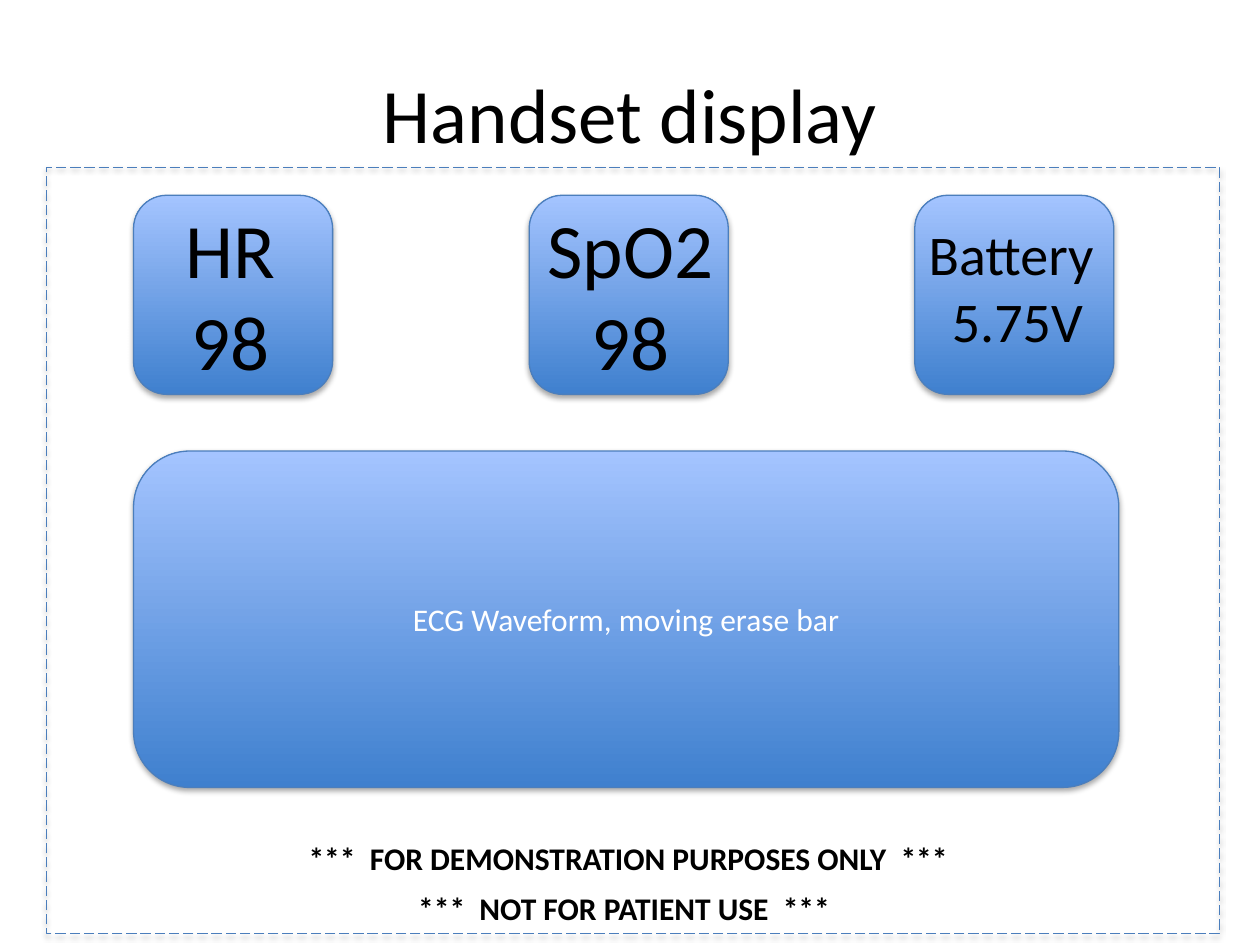
import pptx
import pptx.util
import pptx.oxml
import pptx.dml.color
import pptx.enum.dml
import pptx.enum.shapes
import pptx.enum.text

Pt = pptx.util.Pt
RGB = pptx.dml.color.RGBColor.from_string
SHAPE = pptx.enum.shapes.MSO_SHAPE
ALIGN = pptx.enum.text.PP_ALIGN
ANCHOR = pptx.enum.text.MSO_ANCHOR
INK = {"text": "000000", "light": "FFFFFF", "edge": "4B7EBC",
       "low": "3F80CE", "high": "A4C4FF"}
SHADE = (
    '<a:outerShdw xmlns:a="http://schemas.openxmlformats.org/drawingml/2006/main"'
    ' blurRad="40000" dist="23000" dir="5400000" rotWithShape="0">'
    '<a:srgbClr val="000000"><a:alpha val="35000"/></a:srgbClr></a:outerShdw>')

deck = pptx.Presentation()
deck.slide_width = pptx.util.Inches(10)
deck.slide_height = pptx.util.Inches(7.5)
slide = deck.slides.add_slide(deck.slide_layouts[5])
shapes = slide.shapes

# The slide is a grid of 100 columns and 75 rows.
col = deck.slide_width / 100
row = deck.slide_height / 75


def panel(kind, x, y, w, h):
    """Add an outlined shape with a soft shadow; rounded ones get a gradient."""
    form = shapes.add_shape(kind, int(x * col), int(y * row),
                            int(w * col), int(h * row))
    if kind == SHAPE.ROUNDED_RECTANGLE:
        form.fill.gradient()
        form.fill.gradient_angle = 90
        for stop, tone, place in zip(form.fill.gradient_stops, ("low", "high"), (0, 1)):
            stop.color.rgb = RGB(INK[tone])
            stop.position = place
    else:
        form.fill.background()
    form.line.color.rgb = RGB(INK["edge"])
    form.line.width = Pt(0.75)
    form.shadow.inherit = False
    effects = form._element.spPr.find(pptx.oxml.ns.qn("a:effectLst"))
    effects.append(pptx.oxml.parse_xml(SHADE))
    return form


def write(frame, lines, size, tone="text", bold=False, align=ALIGN.CENTER):
    """Write each line as a paragraph of one styled run."""
    for i, line in enumerate(lines):
        para = frame.add_paragraph() if i else frame.paragraphs[0]
        para.alignment = align
        run = para.add_run()
        run.text = line
        run.font.name = "Calibri"
        run.font.size = Pt(size)
        run.font.bold = bold
        run.font.color.rgb = RGB(INK[tone])


title = shapes.title
title.left, title.top = int(5 * col), int(2.7 * row)
title.width, title.height = int(90 * col), int(12.5 * row)
title.text_frame.vertical_anchor = ANCHOR.MIDDLE
write(title.text_frame, ["Handset display"], 44)

wave = panel(SHAPE.ROUNDED_RECTANGLE, 10.6, 35.8, 78.2, 26.7)
wave.text_frame.vertical_anchor = ANCHOR.MIDDLE
write(wave.text_frame, ["ECG Waveform, moving erase bar"], 18, "light")

panel(SHAPE.RECTANGLE, 3.7, 13.3, 93.1, 60.8).line.dash_style = (
    pptx.enum.dml.MSO_LINE.LONG_DASH)

# Tile column, text column, text row, text width, text height, lines, size
tiles = [
    (10.6, 13.1, 15.5, 10.4, 15.8, ["HR ", "98"], 44),
    (42, 42, 15.5, 16.1, 15.8, ["SpO2 ", "98"], 44),
    (72.6, 72.7, 16.9, 16.1, 11.8, ["Battery ", "5.75V"], 32),
]
for left, x, y, w, h, lines, size in tiles:
    panel(SHAPE.ROUNDED_RECTANGLE, left, 15.5, 15.8, 15.8)
    label = shapes.add_textbox(int(x * col), int(y * row), int(w * col), int(h * row))
    label.text_frame.word_wrap = True
    write(label.text_frame, lines, size)

notes = [(23.5, 66.1, 53.8, "***  FOR DEMONSTRATION PURPOSES ONLY  ***"),
         (32.2, 70.1, 35.5, "***  NOT FOR PATIENT USE  ***")]
for x, y, w, line in notes:
    note = shapes.add_textbox(int(x * col), int(y * row), int(w * col), int(4 * row))
    note.text_frame.word_wrap = False
    write(note.text_frame, [line], 18, bold=True, align=ALIGN.LEFT)

deck.save("out.pptx")
